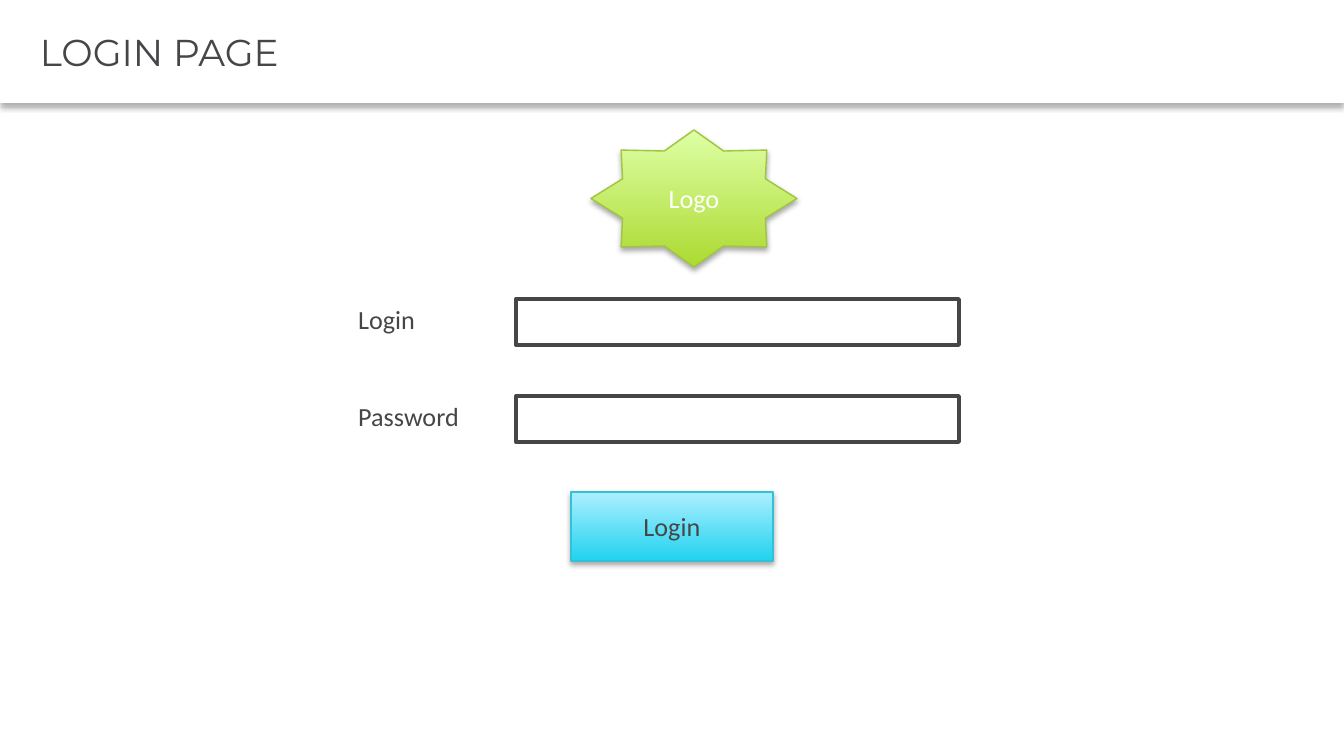
"""Build a login page wireframe slide."""
from lxml.etree import SubElement
from pptx import Presentation
from pptx.dml.color import RGBColor
from pptx.enum.shapes import MSO_SHAPE as SHAPE
from pptx.enum.text import MSO_ANCHOR as ANCHOR, PP_ALIGN as ALIGN
from pptx.oxml.ns import qn
from pptx.util import Emu, Pt

SCALE = 914400 / 134.4
WHITE = RGBColor(0xFF, 0xFF, 0xFF)
CHARCOAL = RGBColor(0x46, 0x45, 0x47)
CYAN = RGBColor(0x21, 0xD3, 0xEF)
CYAN_LIGHT = RGBColor(0xAC, 0xEF, 0xFF)
CYAN_EDGE = RGBColor(0x34, 0xC1, 0xD6)
LIME = RGBColor(0xAC, 0xDA, 0x31)
LIME_LIGHT = RGBColor(0xDE, 0xFF, 0xA6)
LIME_EDGE = RGBColor(0xA1, 0xC5, 0x3F)


def px(*lengths):
    return [Emu(round(length * SCALE)) for length in lengths]


def write(box, text, color=CHARCOAL, size=14, font="Calibri", align=ALIGN.LEFT):
    box.text_frame.word_wrap = True
    para = box.text_frame.paragraphs[0]
    para.alignment = align
    span = para.add_run()
    span.text = text
    span.font.name = font
    span.font.size = Pt(size)
    span.font.color.rgb = color


def add_box(page, kind, area, fill, edge=None, weight=0.75):
    box = page.shapes.add_shape(kind, *px(*area))
    box.shadow.inherit = False
    if isinstance(fill, RGBColor):
        box.fill.solid()
        box.fill.fore_color.rgb = fill
    else:
        box.fill.gradient()
        box.fill.gradient_angle = 90
        for stop, color in zip(box.fill.gradient_stops, fill):
            stop.color.rgb = color
    if edge is None:
        box.line.fill.background()
    else:
        box.line.color.rgb = edge
        box.line.width = Pt(weight)
    return box


def add_shadow(box, distance, opacity):
    effects = box.element.spPr.find(qn("a:effectLst"))
    shadow = SubElement(effects, qn("a:outerShdw"), blurRad=str(Pt(3.1)),
                        dist=str(Pt(distance)), dir="5400000", rotWithShape="0")
    color = SubElement(shadow, qn("a:srgbClr"), val="000000")
    SubElement(color, qn("a:alpha"), val=str(opacity * 1000))


def add_header(page, text):
    header = add_box(page, SHAPE.RECTANGLE, (0, 0, 1344, 103), WHITE)
    add_shadow(header, 2, 30)
    frame = header.text_frame
    frame.margin_left, frame.margin_right = px(40, 9)
    frame.margin_top, frame.margin_bottom = px(5, 5)
    frame.vertical_anchor = ANCHOR.MIDDLE
    write(header, text, size=20, font="Montserrat")


def add_field(page, label, top):
    caption = page.shapes.add_textbox(*px(345, top, 171, 46))
    write(caption, label)
    add_box(page, SHAPE.RECTANGLE, (516, top + 2, 443, 46), WHITE, CHARCOAL, 2)


def add_glossy(page, kind, area, text, shades, edge, color):
    box = add_box(page, kind, area, shades, edge)
    add_shadow(box, 1.8, 35)
    box.text_frame.vertical_anchor = ANCHOR.MIDDLE
    write(box, text, color, align=ALIGN.CENTER)


def main():
    deck = Presentation()
    deck.slide_width, deck.slide_height = px(1344, 756)
    page = deck.slides.add_slide(deck.slide_layouts[6])
    add_header(page, "LOGIN PAGE")
    for row, label in enumerate(("Login", "Password")):
        add_field(page, label, 297 + 97 * row)
    add_glossy(page, SHAPE.RECTANGLE, (571, 492, 202, 69), "Login",
               (CYAN, CYAN_LIGHT), CYAN_EDGE, CHARCOAL)
    add_glossy(page, SHAPE.STAR_8_POINT, (591, 130, 206, 137), "Logo",
               (LIME, LIME_LIGHT), LIME_EDGE, WHITE)
    deck.save("out.pptx")


main()
